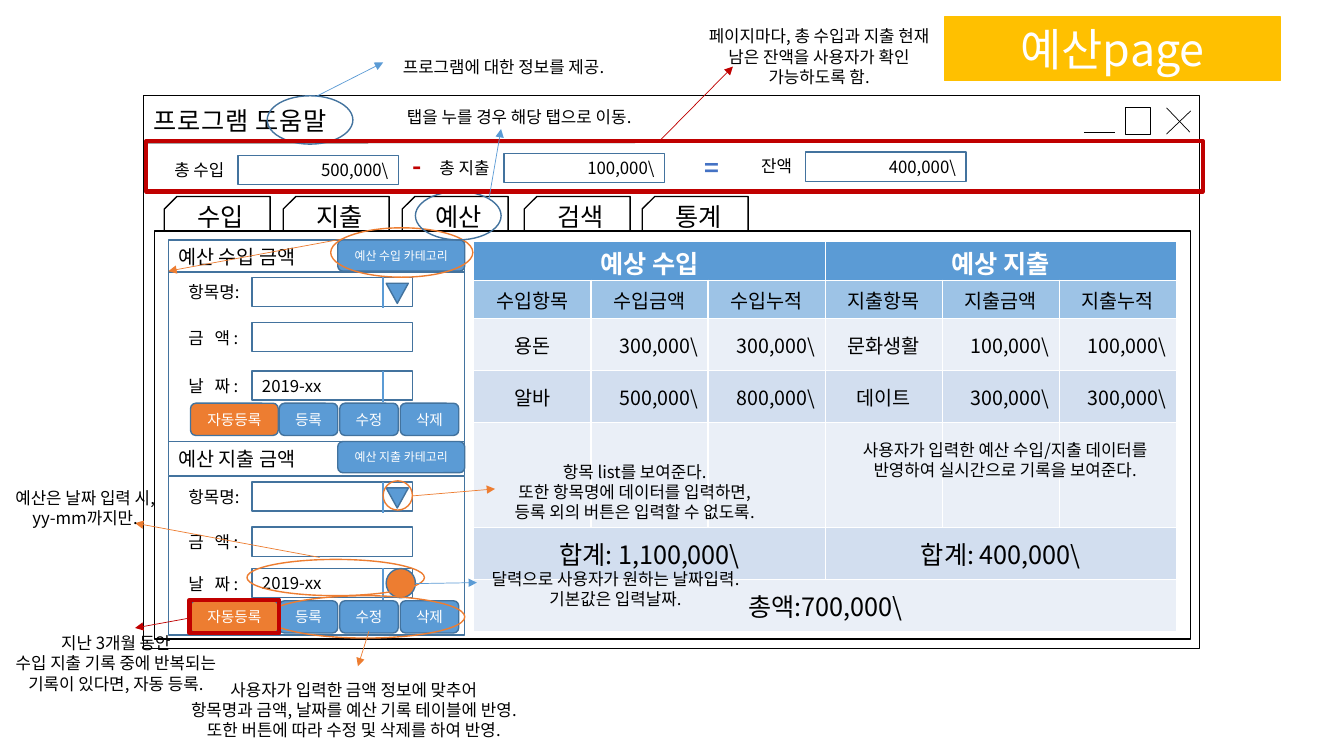
from dataclasses import dataclass
from typing import NamedTuple

from lxml.etree import SubElement
from pptx import Presentation
from pptx.dml.color import RGBColor
from pptx.enum.shapes import MSO_CONNECTOR, MSO_SHAPE
from pptx.enum.text import MSO_ANCHOR, MSO_AUTO_SIZE, PP_ALIGN
from pptx.oxml.ns import qn
from pptx.util import Emu, Inches, Pt

UNIT = Inches(0.1)  # side of one grid square
FONT = "Noto Sans CJK KR"
BLACK, WHITE, RED, GOLD = "000000", "FFFFFF", "C00000", "FFC000"
BLUE, EDGE, ROYAL, ORANGE = "5B9BD5", "43739E", "4472C4", "ED7D31"
SKY, PALE, MIST = "9DC3E6", "EAEFF7", "D2DEEF"
LEFT, MID, RIGHT = PP_ALIGN.LEFT, PP_ALIGN.CENTER, PP_ALIGN.RIGHT
RECT, ROUND, OVAL = MSO_SHAPE.RECTANGLE, MSO_SHAPE.ROUNDED_RECTANGLE, MSO_SHAPE.OVAL


class Box(NamedTuple):
    """Left, top, width and height in grid squares."""
    x: float
    y: float
    w: float
    h: float


class Spot(NamedTuple):
    x: float
    y: float


@dataclass
class Panel:
    name: str
    top: float
    body: float
    date: float
    end: float


@dataclass
class Total:
    label: str
    text: Spot
    field: Spot
    value: str


@dataclass
class Note:
    text: str
    box: Box


@dataclass
class Arrow:
    start: Spot
    end: Spot
    color: str


PANELS = [Panel("수입", 23.8, 27, 36.8, 43.8), Panel("지출", 43.8, 47.3, 56.4, 63)]
TOTALS = [
    Total("총 수입", Spot(16.3, 15.4), Spot(23.6, 15.4), "500,000\\"),
    Total("총 지출", Spot(42.6, 15.2), Spot(50, 15.2), "100,000\\"),
    Total("잔액", Spot(74.5, 15), Spot(79.9, 15.1), "400,000\\"),
]
TABS = {"수입": 16.3, "지출": 28.1, "예산": 39.9, "검색": 52, "통계": 63.7}
NOTES = [
    Note("항목 list를 보여준다.\n또한 항목명에 데이터를 입력하면,\n등록 외의 버튼은 입력할 수 없도록.",
         Box(47.5, 45.3, 30.9, 7.1)),
    Note("사용자가 입력한 금액 정보에 맞추어\n항목명과 금액, 날짜를 예산 기록 테이블에 반영.\n"
         "또한 버튼에 따라 수정 및 삭제를 하여 반영.", Box(15.4, 66.9, 39.4, 7.1)),
    Note("사용자가 입력한 예산 수입/지출 데이터를 반영하여 실시간으로 기록을 보여준다.",
         Box(82.4, 43.1, 34.6, 5)),
    Note("프로그램에 대한 정보를 제공.", Box(37.8, 5.1, 24.3, 3)),
    Note("탭을 누를 경우 해당 탭으로 이동.", Box(37.6, 10.1, 27.8, 3)),
    Note("달력으로 사용자가 원하는 날짜입력.\n기본값은 입력날짜.", Box(45, 55.9, 32.1, 5)),
    Note("페이지마다, 총 수입과 지출 현재 남은 잔액을 사용자가 확인 가능하도록 함.",
         Box(69.1, 2.1, 24.3, 7.1)),
    Note("지난 3개월 동안\n수입 지출 기록 중에 반복되는 기록이 있다면, 자동 등록.",
         Box(-0.7, 62.3, 24.4, 7.1)),
    Note("예산은 날짜 입력 시,\nyy-mm까지만.", Box(-0.2, 47.9, 17.3, 5)),
]
RINGS = [
    (Box(38, 47.7, 2.9, 2.9), ORANGE), (Box(26.4, 59.1, 19.7, 4.2), ORANGE),
    (Box(32.8, 22.6, 14.1, 4.9), ORANGE), (Box(24.5, 55.5, 17.6, 3.6), ORANGE),
    (Box(26.5, 9.5, 8.5, 4.8), EDGE), (Box(41.2, 19, 8.5, 4.8), EDGE),
]
ARROWS = [
    Arrow(Spot(41.2, 57.9), Spot(47.3, 57.8), BLUE),
    Arrow(Spot(31.3, 9.6), Spot(38, 6.2), BLUE),
    Arrow(Spot(48.5, 19.7), Spot(49.7, 12.8), BLUE),
    Arrow(Spot(36.6, 62.6), Spot(35.5, 66.1), ORANGE),
    Arrow(Spot(40.9, 49.2), Spot(49.1, 48.5), ORANGE),
    Arrow(Spot(34, 23.7), Spot(16.7, 26.9), ORANGE),
    Arrow(Spot(31.7, 55.3), Spot(13.4, 51.9), ORANGE),
    Arrow(Spot(65.3, 14.1), Spot(72.7, 6.6), RED),
    Arrow(Spot(18.9, 61.3), Spot(13.4, 62.3), RED),
]
FRAME_LINES = [
    (Spot(14.2, 14.2), Spot(119.1, 14.1)), (Spot(14.3, 18.9), Spot(119.1, 18.8)),
    (Spot(107.5, 13.1), Spot(110.6, 13.1)), (Spot(115.7, 10.7), Spot(118, 13.1)),
    (Spot(118.1, 11), Spot(115.7, 13.3)),
]
ROWS = [3.9, 3.8, 5.2, 5.1, 10.4, 5.2, 5.2]
FILLS = [BLUE, SKY, PALE, MIST, PALE, MIST, PALE]
CELLS = [
    ["예상 수입", "예상 지출"],
    ["수입항목", "수입금액", "수입누적", "지출항목", "지출금액", "지출누적"],
    ["용돈", "300,000\\", "300,000\\", "문화생활", "100,000\\", "100,000\\"],
    ["알바", "500,000\\", "800,000\\", "데이트", "300,000\\", "300,000\\"],
    [""] * 6,
    ["합계: 1,100,000\\", "합계: 400,000\\"],
    ["총액:700,000\\"],
]


def size(n: float) -> Emu:
    return Emu(round(n * UNIT))


def tint(code: str) -> RGBColor:
    return RGBColor.from_string(code)


def write(frame, text: str, pt: float = 12, color: str = BLACK, bold: bool = False,
          align=LEFT, gap: int = 0) -> None:
    """Fill a text frame; gap is letter spacing in hundredths of a point."""
    frame.word_wrap = True
    frame.text = text
    for para in frame.paragraphs:
        para.alignment = align
        for run in para.runs:
            font = run.font
            font.name, font.size, font.bold = FONT, Pt(pt), bold
            font.color.rgb = tint(color)
            props = run._r.get_or_add_rPr()
            SubElement(props, qn("a:ea"), typeface=FONT)
            if gap:
                props.set("spc", str(gap))


def label(page, text: str, box: Box, **style) -> None:
    frame = page.shapes.add_textbox(*map(size, box)).text_frame
    write(frame, text, **style)
    frame.auto_size = MSO_AUTO_SIZE.SHAPE_TO_FIT_TEXT


def paint(shape, fill: str | None, line: str, width: float) -> None:
    if fill:
        shape.fill.solid()
        shape.fill.fore_color.rgb = tint(fill)
    else:
        shape.fill.background()
    shape.line.color.rgb = tint(line)
    shape.line.width = Pt(width)


def draw(page, box: Box, kind=RECT, fill: str | None = None, line: str = EDGE,
         width: float = 1, text: str = "", **style):
    shape = page.shapes.add_shape(kind, *map(size, box))
    shape.shadow.inherit = False
    paint(shape, fill, line, width)
    if text:
        shape.text_frame.vertical_anchor = MSO_ANCHOR.MIDDLE
        write(shape.text_frame, text, **style)
    return shape


def link(page, start: Spot, end: Spot, color: str = BLACK, width: float = 0.5,
         head: bool = False) -> None:
    wire = page.shapes.add_connector(MSO_CONNECTOR.STRAIGHT, *map(size, start + end))
    wire.line.color.rgb = tint(color)
    wire.line.width = Pt(width)
    if head:
        SubElement(wire.line._get_or_add_ln(), qn("a:tailEnd"), type="triangle")
    SubElement(wire._element.spPr, qn("a:effectLst"))


def window(page) -> None:
    draw(page, Box(14.2, 9.5, 104.8, 54.8), fill=WHITE, line=BLACK, width=0.5)
    label(page, "프로그램 도움말", Box(14.2, 10, 24.4, 4), pt=18, gap=60)
    draw(page, Box(111.6, 10.7, 2.5, 2.6), fill=WHITE, line=BLACK, width=0.5)
    for start, end in FRAME_LINES:
        link(page, start, end)
    for name, x in TABS.items():
        tab = draw(page, Box(x, 19.5, 10.5, 3.4), MSO_SHAPE.SNIP_1_RECTANGLE, WHITE, BLACK,
                   text=name, pt=18, align=MID)
        tab.adjustments[0] = 0.364
        tab._element.spPr.get_or_add_xfrm().set("flipH", "1")
    draw(page, Box(15.3, 22.9, 102.8, 40.5), fill=WHITE, line=BLACK)
    for total in TOTALS:
        label(page, total.label, Box(*total.text, 7.8, 3))
        draw(page, Box(*total.field, 15.9, 2.9), text=total.value, align=RIGHT)
    label(page, "-", Box(39.9, 14.4, 3.6, 4), pt=18, color=RED, bold=True)
    label(page, "=", Box(68.9, 14.6, 3.6, 4), pt=18, color=ROYAL, bold=True)


def ledger(page) -> None:
    """Draw the budget table; a row with fewer texts has wider merged cells."""
    box = Box(47, 23.9, 69.7, sum(ROWS))
    table = page.shapes.add_table(len(ROWS), 6, *map(size, box)).table
    for col in table.columns:
        col.width = size(box.w / 6)
    for r, (texts, fill) in enumerate(zip(CELLS, FILLS)):
        table.rows[r].height = size(ROWS[r])
        span = 6 // len(texts)
        for i, text in enumerate(texts):
            cell = table.cell(r, i * span)
            if span > 1:
                cell.merge(table.cell(r, i * span + span - 1))
            cell.fill.solid()
            cell.fill.fore_color.rgb = tint(fill)
            cell.vertical_anchor = MSO_ANCHOR.MIDDLE
            if r == 0:
                cell.margin_top, cell.margin_bottom = size(0.3), 0
            write(cell.text_frame, text, pt=18 if span > 1 else 14, bold=r == 0,
                  color=WHITE if r == 0 else BLACK,
                  align=RIGHT if span == 1 and text.endswith("\\") else MID)


def form(page, panel: Panel) -> None:
    item, money, date = panel.body + 0.5, panel.body + 5, panel.date
    draw(page, Box(16.7, panel.top, 29.4, 3.4), fill=WHITE, text=f"예산 {panel.name} 금액", pt=14)
    draw(page, Box(16.7, panel.body, 29.4, panel.end - panel.body), fill=WHITE)
    draw(page, Box(33.5, panel.top, 12.6, 3.1), ROUND, BLUE,
         text=f"예산 {panel.name} 카테고리", pt=8.5, color=WHITE, align=MID)
    for name, y, gap, value in [("항목명:", item, 0, ""), ("금 액:", money, 250, ""),
                                ("날 짜:", date, 250, "2019-xx")]:
        label(page, name, Box(17.7, y, 7.8, 3), gap=gap)
        draw(page, Box(25, y, 15.9, 2.9), text=value)
    for y in (item, date):
        link(page, Spot(38, y), Spot(38, y + 3.1), BLUE, 1.5)
    draw(page, Box(38.3, item + 0.6, 2.2, 2), MSO_SHAPE.ISOSCELES_TRIANGLE, BLUE).rotation = 180
    style = dict(pt=10.5, color=WHITE, align=MID)
    draw(page, Box(18.9, date + 3.2, 8.7, 3.2), ROUND, ORANGE, text="자동등록", **style)
    for i, name in enumerate(["등록", "수정", "삭제"]):
        draw(page, Box(27.7 + 6 * i, date + 3.2, 5.8, 3.2), ROUND, BLUE, text=name, **style)


def main() -> None:
    deck = Presentation()
    deck.slide_width, deck.slide_height = Inches(13.33), Inches(7.5)
    page = deck.slides.add_slide(deck.slide_layouts[5])
    title = page.shapes.title
    title.left, title.top, title.width, title.height = map(size, Box(93.7, 1.7, 33.3, 6.3))
    paint(title, GOLD, GOLD, 1)
    title.text_frame.vertical_anchor = MSO_ANCHOR.MIDDLE
    write(title.text_frame, "예산page", pt=32, color=WHITE, align=MID)
    window(page)
    ledger(page)
    for panel in PANELS:
        form(page, panel)
    draw(page, Box(38.3, 56.4, 2.9, 2.9), OVAL, ORANGE)
    for box, color in RINGS:
        draw(page, box, OVAL, line=color)
    for box in (Box(14.5, 14, 104.8, 5), Box(18.8, 59.5, 8.9, 3.3)):
        draw(page, box, line=RED, width=3)
    for arrow in ARROWS:
        link(page, arrow.start, arrow.end, arrow.color, head=True)
    for note in NOTES:
        label(page, note.text, note.box, align=MID)
    deck.save("out.pptx")


if __name__ == "__main__":
    main()
